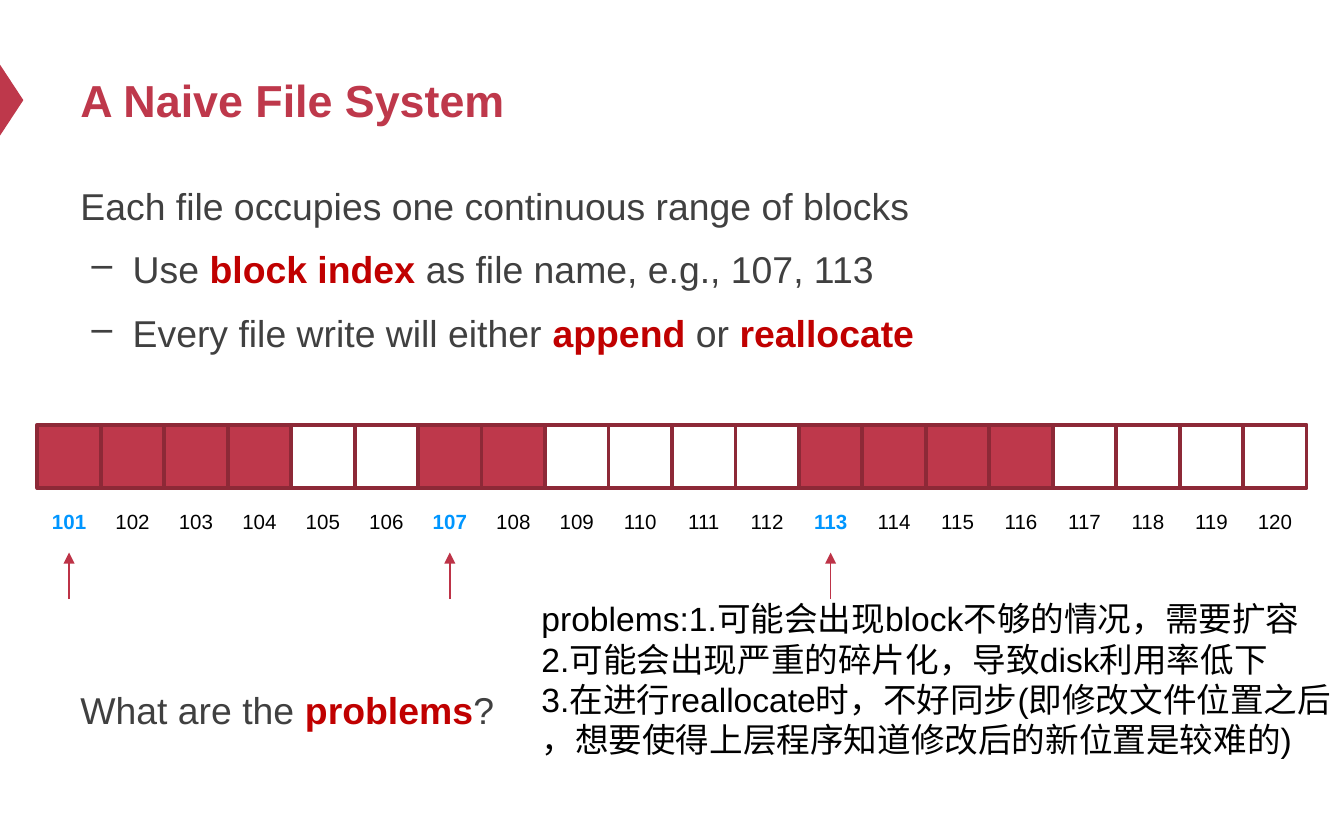
from dataclasses import dataclass

from lxml import etree
from pptx import Presentation
from pptx.dml.color import RGBColor
from pptx.enum import shapes, text
from pptx.oxml import ns
from pptx.util import Pt


@dataclass(frozen=True)
class Theme:
    font: str = "Arial"
    brand: str = "BE384B"
    outline: str = "8D2937"
    pointer: str = "BD3347"
    body: str = "404040"
    strong: str = "C00000"
    file_start: str = "0096FF"
    black: str = "000000"
    title_size: int = 24
    body_size: int = 20
    answer_size: int = 18
    label_size: int = 11


THEME = Theme()
FIRST_BLOCK, LAST_BLOCK = 101, 120
FILES = {101: 4, 107: 2, 113: 4}  # first block -> length in blocks
STRIP_LEFT, STRIP_TOP, BLOCK = 20, 227.5, 34
LABEL_TOP = 262
POINTER_LENGTH = 25


def colour(value):
    return RGBColor.from_string(value)


def add_run(paragraph, words, size, ink, bold=False):
    run = paragraph.add_run()
    run.text = words
    formats = {"name": THEME.font, "size": Pt(size), "bold": bold}
    for name, value in formats.items():
        setattr(run.font, name, value)
    run.font.color.rgb = colour(ink)


def add_frame(slide, box, anchor=text.MSO_ANCHOR.TOP):
    """Add a wrapping text box; return the shape and its text frame."""
    label = slide.shapes.add_textbox(*map(Pt, box))
    frame = label.text_frame
    frame.word_wrap = True
    frame.vertical_anchor = anchor
    return label, frame


def next_paragraph(frame, index):
    return frame.add_paragraph() if index else frame.paragraphs[0]


def add_dash(paragraph):
    properties = paragraph._p.get_or_add_pPr()
    properties.set("marL", str(Pt(28)))
    properties.set("indent", str(Pt(-22)))
    etree.SubElement(properties, ns.qn("a:buChar"), char="–")


def add_statements(slide, box, statements):
    """Write a lead line and dashed points; every second part is emphasised."""
    _, frame = add_frame(slide, box)
    for index, parts in enumerate(statements):
        paragraph = next_paragraph(frame, index)
        paragraph.line_spacing = 1.2
        if index:
            paragraph.space_before = Pt(5)
            add_dash(paragraph)
        for position, words in enumerate(parts):
            strong = position % 2 == 1
            ink = THEME.strong if strong else THEME.body
            add_run(paragraph, words, THEME.body_size, ink, strong)


def add_title(slide, words):
    _, frame = add_frame(slide, (36, 18, 648, 70.5), text.MSO_ANCHOR.MIDDLE)
    add_run(frame.paragraphs[0], words, THEME.title_size, THEME.brand, True)


def add_title_marker(slide):
    marker = slide.shapes.add_shape(
        shapes.MSO_SHAPE.ISOSCELES_TRIANGLE, *map(Pt, (-12.75, 47.4, 38, 12.5)))
    marker.rotation = 90
    marker.shadow.inherit = False
    marker.fill.solid()
    marker.fill.fore_color.rgb = colour(THEME.brand)
    marker.line.fill.background()


def add_block(slide, left, used):
    block = slide.shapes.add_shape(
        shapes.MSO_SHAPE.RECTANGLE, *map(Pt, (left, STRIP_TOP, BLOCK, BLOCK)))
    block.shadow.inherit = False
    if used:
        block.fill.solid()
        block.fill.fore_color.rgb = colour(THEME.brand)
    else:
        block.fill.background()
    block.line.color.rgb = colour(THEME.outline)
    block.line.width = Pt(2)


def add_block_label(slide, left, number):
    label, frame = add_frame(
        slide, (left, LABEL_TOP, BLOCK, BLOCK), text.MSO_ANCHOR.MIDDLE)
    for side in ("margin_left", "margin_right"):
        setattr(frame, side, 0)
    paragraph = frame.paragraphs[0]
    paragraph.alignment = text.PP_ALIGN.CENTER
    starts = number in FILES
    ink = THEME.file_start if starts else THEME.black
    add_run(paragraph, str(number), THEME.label_size, ink, starts)
    return label


def add_pointer(slide, label):
    """Draw an arrow up to the bottom of a block label."""
    x = label.left + label.width // 2
    tip = label.top + label.height
    pointer = slide.shapes.add_connector(
        shapes.MSO_CONNECTOR.STRAIGHT, x, tip + Pt(POINTER_LENGTH), x, tip)
    pointer.end_connect(label, 2)
    pointer.line.color.rgb = colour(THEME.pointer)
    pointer.line.width = Pt(0.75)
    etree.SubElement(pointer.line._get_or_add_ln(), ns.qn("a:tailEnd"),
                     type="triangle")
    etree.SubElement(pointer._element.spPr, ns.qn("a:effectLst"))


def add_disk(slide):
    used = {start + offset for start, length in FILES.items()
            for offset in range(length)}
    places = {number: STRIP_LEFT + index * BLOCK for index, number
              in enumerate(range(FIRST_BLOCK, LAST_BLOCK + 1))}
    for number, left in places.items():
        add_block(slide, left, number in used)
    labels = {number: add_block_label(slide, left, number)
              for number, left in places.items()}
    for start in FILES:
        add_pointer(slide, labels[start])


def add_answers(slide, answers):
    _, frame = add_frame(slide, (283, 317, 437.5, 115))
    for index, words in enumerate(answers):
        add_run(next_paragraph(frame, index), words,
                THEME.answer_size, THEME.black)


def main():
    deck = Presentation()
    deck.slide_width, deck.slide_height = Pt(720), Pt(450)
    slide = deck.slides.add_slide(deck.slide_layouts[6])
    add_title_marker(slide)
    add_title(slide, "A Naive File System")
    add_statements(slide, (36, 90, 648, 110), [
        ["Each file occupies one continuous range of blocks"],
        ["Use ", "block index ", "as file name, e.g., 107, 113"],
        ["Every file write will either ", "append ", "or ", "reallocate"],
    ])
    add_statements(slide, (36, 360, 245, 40),
                   [["What are the ", "problems", "?"]])
    add_disk(slide)
    add_answers(slide, [
        "problems:1.可能会出现block不够的情况，需要扩容",
        "2.可能会出现严重的碎片化，导致disk利用率低下",
        "3.在进行reallocate时，不好同步(即修改文件位置之后",
        "，想要使得上层程序知道修改后的新位置是较难的)",
    ])
    deck.save("out.pptx")


if __name__ == "__main__":
    main()
